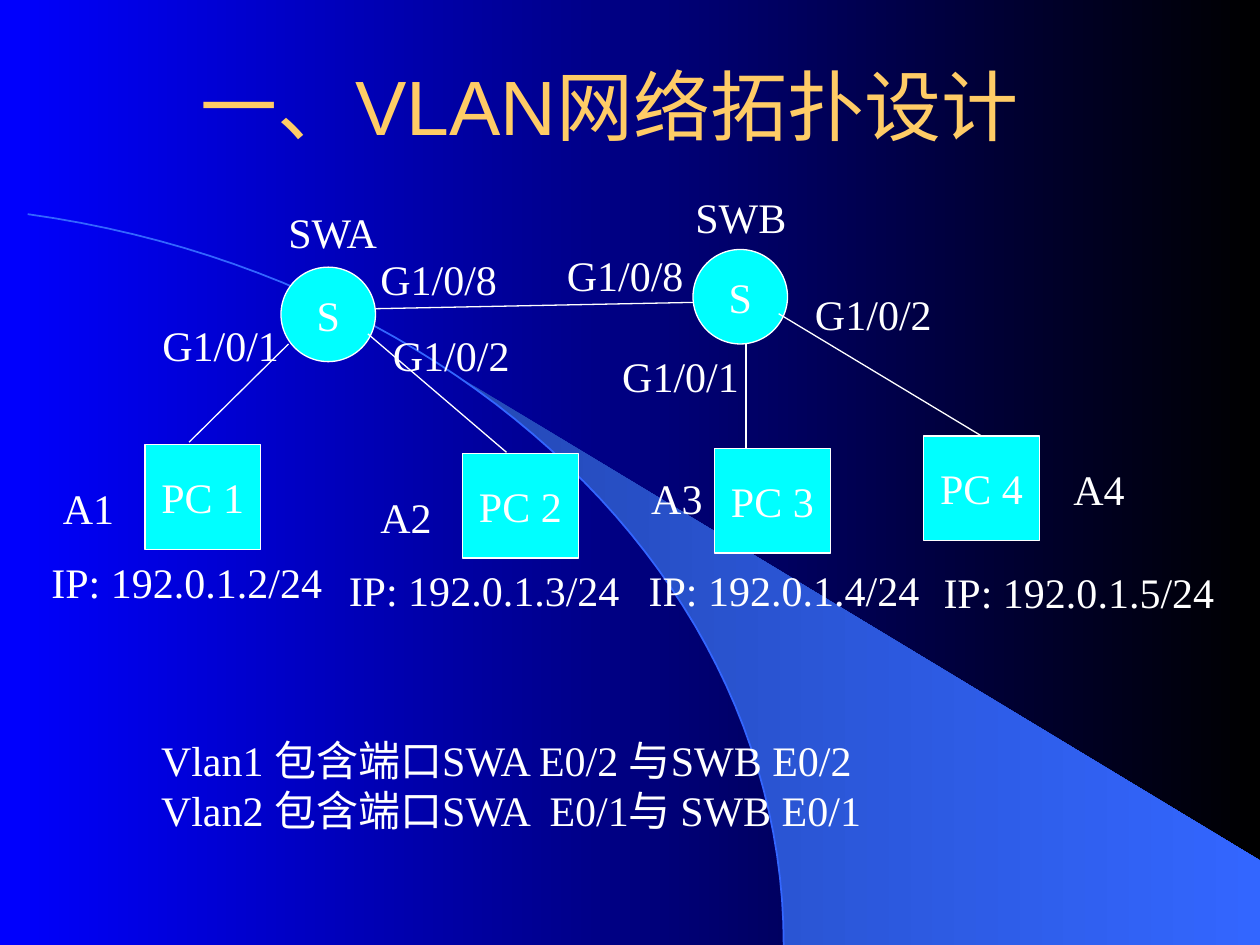
from dataclasses import dataclass
from lxml.etree import SubElement
from pptx import Presentation
from pptx.dml.color import RGBColor
from pptx.enum.shapes import MSO_CONNECTOR, MSO_SHAPE
from pptx.enum.text import MSO_ANCHOR, MSO_AUTO_SIZE, PP_ALIGN
from pptx.oxml.ns import qn
from pptx.util import Pt

PX = 9144  # EMU in one px, 100 px to the inch
WIDE, HIGH = 1000, 750


@dataclass(frozen=True)
class Theme:
    gold: str = "FFCC66"
    white: str = "FFFFFF"
    cyan: str = "00FFFF"
    arc: str = "3366FF"
    back: tuple = ("0000FF", "000000")
    fan: tuple = ("2449B6", "3366FF")
    head: str = "Arial"
    body: str = "Times New Roman"
    big: int = 44
    size: int = 24
    thin: float = 0.75


T = Theme()

# Content
TITLE = ["一、", "VLAN", "网络拓扑设计"]
NOTES = [
    ["Vlan1 ", "包含端口", "SWA E0/2 ", "与", "SWB E0/2"],
    ["Vlan2 ", "包含端口", "SWA  E0/1", "与", " SWB E0/1"],
]
# switch: left, top, name, name left, name top
SWITCHES = [
    (223, 212, "SWA", 219, 159),
    (550, 198, "SWB", 542, 147),
]
# host: label, left, top, (tag, left, top), (address, left, top)
HOSTS = [
    ("PC 1", 115, 353, ("A1", 40, 378), ("IP: 192.0.1.2/24", 31, 437)),
    ("PC 2", 367, 360, ("A2", 292, 385), ("IP: 192.0.1.3/24", 267, 443)),
    ("PC 3", 567, 356, ("A3", 507, 370), ("IP: 192.0.1.4/24", 505, 443)),
    ("PC 4", 733, 346, ("A4", 842, 363), ("IP: 192.0.1.5/24", 739, 445)),
]
PORTS = [
    ("G1/0/1", 119, 249), ("G1/0/2", 302, 257), ("G1/0/8", 292, 196),
    ("G1/0/8", 440, 193), ("G1/0/1", 484, 273), ("G1/0/2", 637, 224),
]
# link: from x, y, to x, y, host whose top middle it starts from
LINKS = [
    (592, 273, 592, 356, None), (550, 240, 298, 245, None),
    (150, 351, 229, 273, None), (402, 359, 292, 265, None),
    (783, 346, 618, 249, "PC 4"),
]
ARC = [(22, 170), (365, 218), (622, 461), (622, 750)]
DISC, BOX = (75, 75), (92, 83)
NAME, TAG, PORT, ADDR, LINE = 96, 66, 120, 250, 50


def rgb(code):
    return RGBColor.from_string(code)


def emu(*vals):
    return [round(v * PX) for v in vals]


def shade(fill, pair):
    fill.gradient()
    fill.gradient_angle = 0
    for stop, code in zip(fill.gradient_stops, pair):
        stop.color.rgb = rgb(code)


def write(para, runs, font=T.body, size=T.size, color=T.white):
    for part in runs:
        run = para.add_run()
        run.text = part
        run.font.name = font
        run.font.size = Pt(size)
        run.font.color.rgb = rgb(color)


def label(slide, rows, x, y, w, h=LINE):
    frame = slide.shapes.add_textbox(*emu(x, y, w, h)).text_frame
    frame.word_wrap = True
    frame.auto_size = MSO_AUTO_SIZE.SHAPE_TO_FIT_TEXT
    for i, runs in enumerate(rows):
        write(frame.add_paragraph() if i else frame.paragraphs[0], runs)


def node(slide, kind, text, x, y, size):
    shape = slide.shapes.add_shape(kind, *emu(x, y, *size))
    shape.shadow.inherit = False
    shape.fill.solid()
    shape.fill.fore_color.rgb = rgb(T.cyan)
    shape.line.color.rgb = rgb(T.white)
    shape.line.width = Pt(T.thin)
    frame = shape.text_frame
    frame.word_wrap = False
    frame.vertical_anchor = MSO_ANCHOR.MIDDLE
    frame.paragraphs[0].alignment = PP_ALIGN.CENTER
    write(frame.paragraphs[0], [text])
    return shape


def link(slide, ends, host):
    wire = slide.shapes.add_connector(MSO_CONNECTOR.STRAIGHT, *emu(*ends))
    wire.line.color.rgb = rgb(T.white)
    wire.line.width = Pt(T.thin)
    SubElement(wire._element.spPr, qn("a:effectLst"))
    if host is not None:
        wire.begin_connect(host, 0)


def bend(start, steps=48):
    """Points of the cubic arc from share start to its end."""
    points = []
    for i in range(steps + 1):
        t = start + (1 - start) * i / steps
        u = 1 - t
        parts = (u ** 3, 3 * u * u * t, 3 * u * t * t, t ** 3)
        points.append(tuple(sum(p * c[k] for p, c in zip(parts, ARC))
                            for k in (0, 1)))
    return points


def trace(slide, points, close):
    pen = slide.shapes.build_freeform(*emu(*points[0]), scale=1.0)
    pen.add_line_segments([emu(*p) for p in points[1:]], close=close)
    shape = pen.convert_to_shape()
    shape.shadow.inherit = False
    return shape


def main():
    deck = Presentation()
    deck.slide_width, deck.slide_height = emu(WIDE, HIGH)
    slide = deck.slides.add_slide(deck.slide_layouts[5])

    # Backdrop: gradient, fan and arc
    shade(slide.background.fill, T.back)
    fan = trace(slide, bend(0.37) + [(WIDE, HIGH), (WIDE, 683)], True)
    shade(fan.fill, T.fan)
    fan.line.fill.background()
    arc = trace(slide, bend(0), False)
    arc.fill.background()
    arc.line.color.rgb = rgb(T.arc)
    arc.line.width = Pt(1)

    # Title
    title = slide.shapes.title
    title.left, title.top, title.width, title.height = emu(59, 0, 850, 125)
    frame = title.text_frame
    frame.auto_size = MSO_AUTO_SIZE.NONE
    frame.vertical_anchor = MSO_ANCHOR.BOTTOM
    frame.paragraphs[0].alignment = PP_ALIGN.CENTER
    write(frame.paragraphs[0], TITLE, T.head, T.big, T.gold)

    # Switches and hosts
    for x, y, name, left, top in SWITCHES:
        node(slide, MSO_SHAPE.OVAL, "S", x, y, DISC)
        label(slide, [[name]], left, top, NAME)
    hosts = {}
    for name, x, y, tag, addr in HOSTS:
        hosts[name] = node(slide, MSO_SHAPE.RECTANGLE, name, x, y, BOX)
        for (text, left, top), width in ((tag, TAG), (addr, ADDR)):
            label(slide, [[text]], left, top, width)

    # Links and port names
    for *ends, host in LINKS:
        link(slide, ends, hosts.get(host))
    for text, x, y in PORTS:
        label(slide, [[text]], x, y, PORT)

    # VLAN members
    label(slide, NOTES, 118, 578, 576, 91)
    deck.save("out.pptx")


if __name__ == "__main__":
    main()
